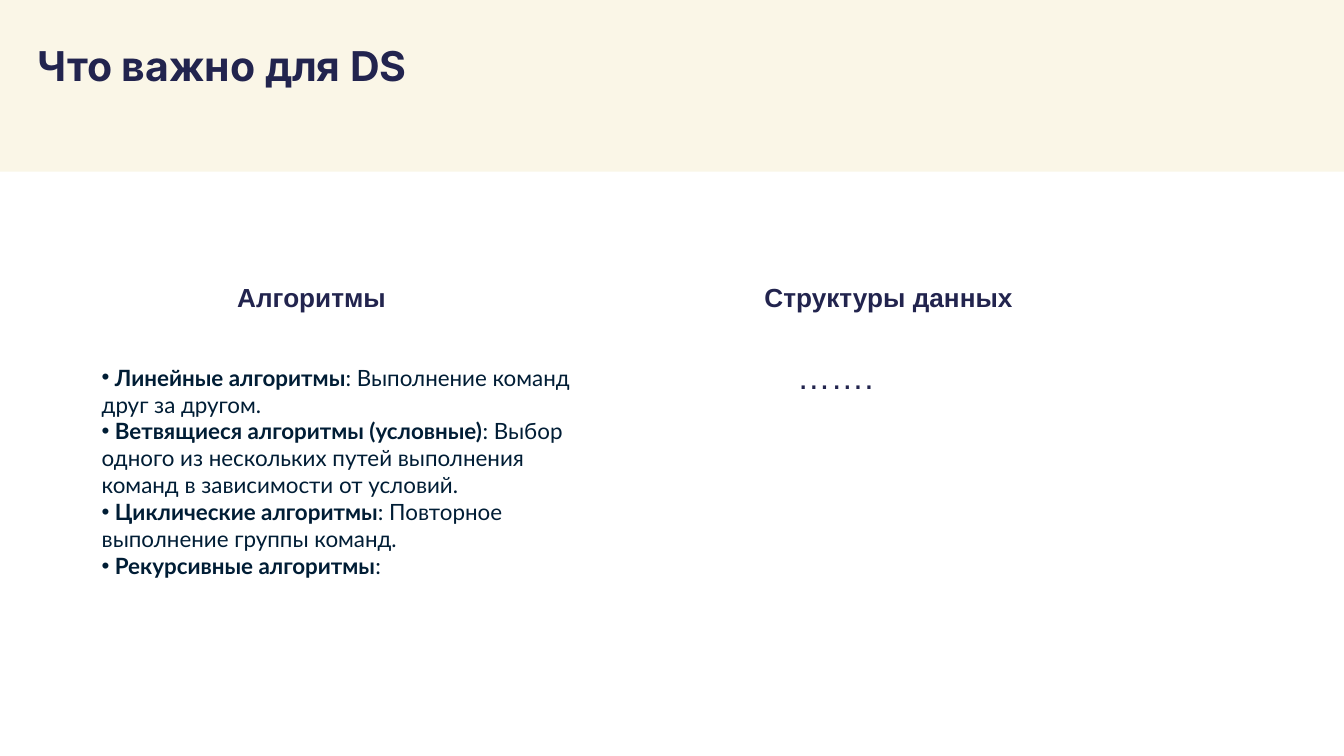
from dataclasses import dataclass

from lxml.etree import SubElement
from pptx import Presentation
from pptx.dml.color import RGBColor
from pptx.enum.shapes import MSO_SHAPE as Preset
from pptx.enum.text import MSO_ANCHOR as Anchor, MSO_AUTO_SIZE as AutoSize, PP_ALIGN as Align
from pptx.oxml.ns import qn
from pptx.shapes.autoshape import Shape
from pptx.slide import Slide
from pptx.text.text import TextFrame, _Paragraph as Paragraph
from pptx.util import Pt

INK = "22244E"
NAVY = "001D35"
CREAM = "FAF6E7"
WHITE = "FFFFFF"


@dataclass(frozen=True)
class Box:
    left: float
    top: float
    width: float
    height: float

    def lengths(self) -> tuple[Pt, Pt, Pt, Pt]:
        return Pt(self.left), Pt(self.top), Pt(self.width), Pt(self.height)


@dataclass(frozen=True)
class Style:
    font: str
    size: float
    color: str
    bold: bool = False


@dataclass(frozen=True)
class Heading:
    text: str
    box: Box


@dataclass(frozen=True)
class Algorithm:
    name: str
    description: str


TITLE_STYLE = Style("Inter", 22, INK, True)
HEADING_STYLE = Style("Arial", 14, INK, True)
NAME_STYLE = Style("Lato", 12, NAVY, True)
DESCRIPTION_STYLE = Style("Lato", 12, NAVY)
DOTS_STYLE = Style("Arial", 18, INK)

HEADINGS = [
    Heading("Алгоритмы", Box(120, 147, 96.5, 24.5)),
    Heading("Структуры данных", Box(402.5, 147, 191, 24.5)),
]
ALGORITHMS = [
    Algorithm("Линейные алгоритмы", ": Выполнение команд друг за другом."),
    Algorithm(
        "Ветвящиеся алгоритмы (условные)",
        ": Выбор одного из нескольких путей выполнения команд в зависимости от условий.",
    ),
    Algorithm("Циклические алгоритмы", ": Повторное выполнение группы команд."),
    Algorithm("Рекурсивные алгоритмы", ":"),
]


def rgb(color: str) -> RGBColor:
    return RGBColor.from_string(color)


def add_run(paragraph: Paragraph, text: str, style: Style) -> None:
    run = paragraph.add_run()
    run.text = text
    run.font.name = style.font
    run.font.size = Pt(style.size)
    run.font.bold = style.bold
    run.font.color.rgb = rgb(style.color)


def set_frame(frame: TextFrame, anchor: Anchor, insets: tuple[float, float, float, float]) -> None:
    frame.word_wrap = True
    frame.auto_size = AutoSize.NONE
    frame.vertical_anchor = anchor
    left, top, right, bottom = insets
    frame.margin_left, frame.margin_top = Pt(left), Pt(top)
    frame.margin_right, frame.margin_bottom = Pt(right), Pt(bottom)


def add_panel(slide: Slide, box: Box, color: str, anchor: Anchor = Anchor.TOP) -> Shape:
    panel = slide.shapes.add_shape(Preset.RECTANGLE, *box.lengths())
    panel.shadow.inherit = False
    panel.fill.solid()
    panel.fill.fore_color.rgb = rgb(color)
    panel.line.fill.background()
    set_frame(panel.text_frame, anchor, (0, 2, 0, 3.5))
    panel.text_frame.paragraphs[0].alignment = Align.LEFT
    return panel


def add_title(slide: Slide, text: str, box: Box) -> None:
    title = slide.shapes.title
    title.left, title.top, title.width, title.height = box.lengths()
    set_frame(title.text_frame, Anchor.TOP, (7.2, 7.2, 7.2, 7.2))
    paragraph = title.text_frame.paragraphs[0]
    paragraph.alignment = Align.LEFT
    paragraph.line_spacing = 1.0
    add_run(paragraph, text, TITLE_STYLE)


def add_heading(slide: Slide, heading: Heading) -> None:
    frame = slide.shapes.add_textbox(*heading.box.lengths()).text_frame
    set_frame(frame, Anchor.TOP, (7.2, 3.6, 7.2, 3.6))
    add_run(frame.paragraphs[0], heading.text, HEADING_STYLE)


def add_algorithms(slide: Slide, algorithms: list[Algorithm], box: Box) -> None:
    frame = add_panel(slide, box, WHITE, Anchor.MIDDLE).text_frame
    for index, algorithm in enumerate(algorithms):
        paragraph = frame.add_paragraph() if index else frame.paragraphs[0]
        paragraph.alignment = Align.LEFT
        properties = paragraph._p.get_or_add_pPr()
        properties.set("marL", "0")
        properties.set("indent", "0")
        SubElement(properties, qn("a:buFont"), typeface="Arial")
        SubElement(properties, qn("a:buChar"), char="•")
        add_run(paragraph, f" {algorithm.name}", NAME_STYLE)
        add_run(paragraph, algorithm.description, DESCRIPTION_STYLE)


def main() -> None:
    presentation = Presentation()
    presentation.slide_width, presentation.slide_height = Pt(720), Pt(405)
    slide = presentation.slides.add_slide(presentation.slide_layouts[5])
    slide.background.fill.solid()
    slide.background.fill.fore_color.rgb = rgb(WHITE)

    band = add_panel(slide, Box(0, 0, 720, 92), CREAM)
    slide.shapes.title.element.addprevious(band.element)
    add_title(slide, "Что важно для DS", Box(13, 14.5, 607.5, 38))

    for heading in HEADINGS:
        add_heading(slide, heading)
    add_algorithms(slide, ALGORITHMS, Box(54.5, 170.5, 263.5, 165.5))
    dots = add_panel(slide, Box(427, 188.5, 181.5, 49.5), WHITE)
    add_run(dots.text_frame.paragraphs[0], "…….", DOTS_STYLE)

    presentation.save("out.pptx")


if __name__ == "__main__":
    main()
